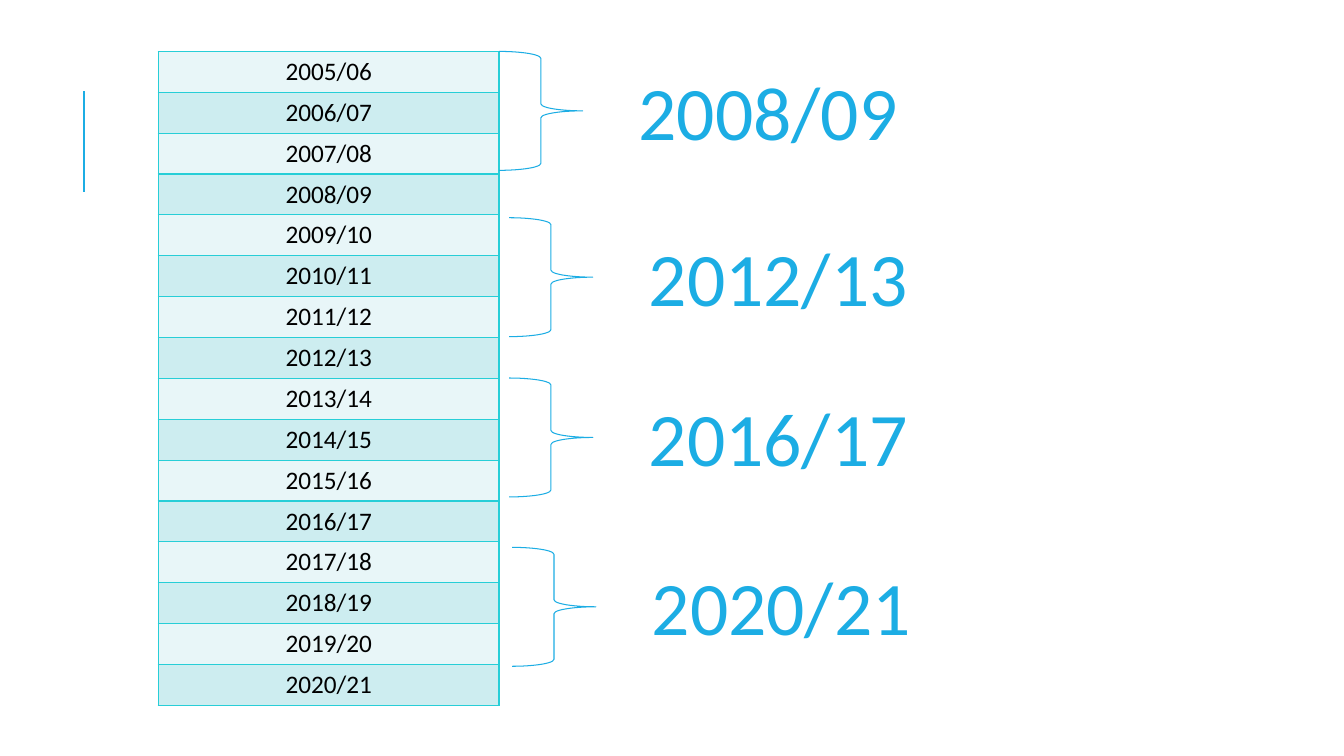
from dataclasses import dataclass

from lxml.etree import SubElement
from pptx import Presentation
from pptx.dml.color import RGBColor
from pptx.enum.shapes import MSO_CONNECTOR as CONN, MSO_SHAPE as SHAPE
from pptx.enum.text import MSO_ANCHOR as ANCHOR, MSO_AUTO_SIZE as AUTO, PP_ALIGN as ALIGN
from pptx.oxml.ns import qn
from pptx.util import Inches, Pt

BLUE = RGBColor(0x1C, 0xAD, 0xE4)
TEAL = RGBColor(0x27, 0xCE, 0xD7)
BLACK = RGBColor(0, 0, 0)
BANDS = (RGBColor(0xE8, 0xF6, 0xF8), RGBColor(0xCD, 0xED, 0xF0))
FONT = "Calibri"
FIRST_YEAR, LAST_YEAR = 2005, 2020


@dataclass(frozen=True)
class Cohort:
    year: int
    left: float
    top: float


COHORTS = (
    Cohort(2008, 4.95, 0.51),
    Cohort(2012, 5.05, 2.16),
    Cohort(2016, 5.05, 3.75),
    Cohort(2020, 5.08, 5.43),
)


def season(year: int) -> str:
    return f"{year}/{(year + 1) % 100:02d}"


def write_text(tf, text: str, size: float, color: RGBColor) -> None:
    p = tf.paragraphs[0]
    p.alignment = ALIGN.CENTER
    r = p.add_run()
    r.text = text
    r.font.color.rgb = color
    for name, value in {"name": FONT, "size": Pt(size)}.items():
        setattr(r.font, name, value)


def add_borders(cell, color: RGBColor, width: float) -> None:
    tc_pr = cell._tc.get_or_add_tcPr()
    for i, side in enumerate(("lnL", "lnR", "lnT", "lnB")):
        ln = SubElement(tc_pr, qn(f"a:{side}"), w=str(Pt(width)))
        fill = SubElement(ln, qn("a:solidFill"))
        SubElement(fill, qn("a:srgbClr"), val=str(color))
        tc_pr.remove(ln)
        tc_pr.insert(i, ln)


def add_accent_line(s) -> None:
    line = s.shapes.add_connector(CONN.STRAIGHT, Inches(0.83), Inches(1.9), Inches(0.83), Inches(0.9))
    line.line.color.rgb = BLUE
    line.line.width = Pt(1.5)
    SubElement(line._element.spPr, qn("a:effectLst"))


def add_season_table(s) -> None:
    years = range(FIRST_YEAR, LAST_YEAR + 1)
    frame = s.shapes.add_table(len(years), 1, Inches(1.57), Inches(0.51), Inches(3.38), Inches(6.49))
    table = frame.table
    for name in ("first_row", "horz_banding"):
        setattr(table, name, False)
    for i, year in enumerate(years):
        cell = table.cell(i, 0)
        cell.vertical_anchor = ANCHOR.MIDDLE
        cell.fill.solid()
        cell.fill.fore_color.rgb = BANDS[i % 2]
        add_borders(cell, TEAL, 1)
        write_text(cell.text_frame, season(year), 18, BLACK)


def add_cohort(s, cohort: Cohort) -> None:
    group = s.shapes.add_group_shape()
    brace = group.shapes.add_shape(
        SHAPE.RIGHT_BRACE, Inches(cohort.left), Inches(cohort.top), Inches(0.83), Inches(1.18))
    brace.shadow.inherit = False
    brace.fill.background()
    brace.line.color.rgb = BLUE
    brace.line.width = Pt(0.75)
    label = group.shapes.add_textbox(
        Inches(cohort.left + 1.13), Inches(cohort.top + 0.08), Inches(3.08), Inches(1.01))
    tf = label.text_frame
    for name, value in {"word_wrap": False, "auto_size": AUTO.SHAPE_TO_FIT_TEXT}.items():
        setattr(tf, name, value)
    write_text(tf, season(cohort.year), 54, BLUE)


def main() -> None:
    prs = Presentation()
    prs.slide_width, prs.slide_height = Inches(13.33), Inches(7.5)
    s = prs.slides.add_slide(prs.slide_layouts[6])
    add_accent_line(s)
    add_season_table(s)
    for cohort in COHORTS:
        add_cohort(s, cohort)
    prs.save("out.pptx")


if __name__ == "__main__":
    main()
